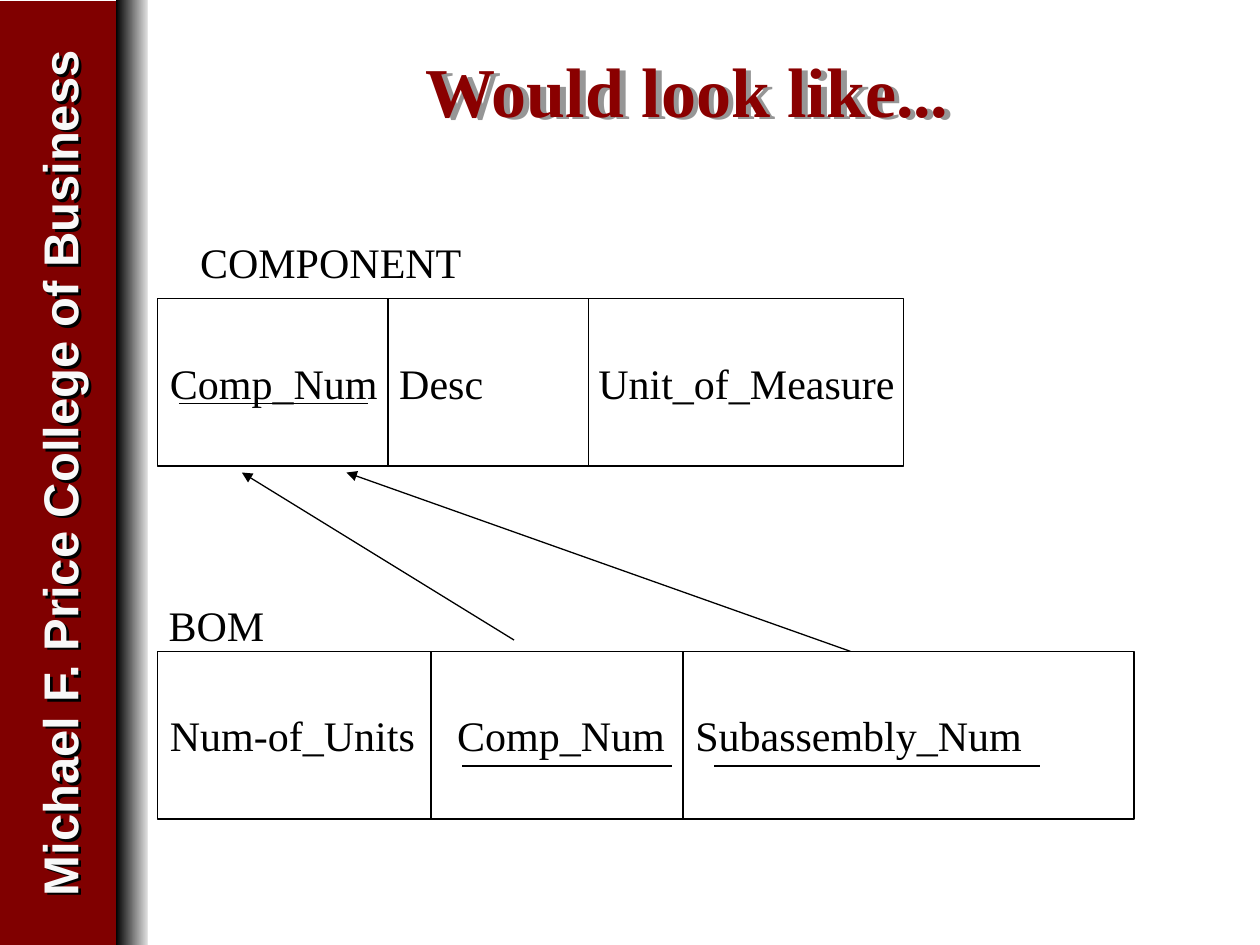
from typing import NamedTuple

from lxml import etree
from pptx import Presentation
from pptx.dml.color import RGBColor
from pptx.enum import shapes as sh, text as tx
from pptx.oxml import parse_xml
from pptx.oxml.ns import nsdecls, qn
from pptx.util import Inches, Pt

SERIF = "Times New Roman"


class Line(NamedTuple):
    x1: float
    y1: float
    x2: float
    y2: float
    arrow: bool = False


class Table(NamedTuple):
    name: str
    name_x: float
    name_y: float
    top: float
    width: float
    fields: tuple[str, ...]
    stops: tuple[float, ...]
    rules: tuple[float, ...]


LEFT, HIGH = 1.25, 1.33
TABLES = [
    Table("COMPONENT", 1.49, 1.83, 2.37, 5.92,
          ("Comp_Num", "Desc", "Unit_of_Measure"), (1.82, 3.4), (3.08, 4.67)),
    Table("BOM", 1.24, 4.71, 5.17, 7.75,
          ("Num-of_Units", "Comp_Num", "Subassembly_Num"), (2.28, 4.17), (3.42, 5.42)),
]
KEYS = [
    Line(1.42, 3.2, 2.92, 3.2),
    Line(3.67, 6.08, 5.33, 6.08),
    Line(5.67, 6.08, 8.25, 6.08),
]
ARROWS = [
    Line(4.08, 5.08, 1.92, 3.75, True),
    Line(6.75, 5.17, 2.75, 3.75, True),
]

prs = Presentation()
prs.slide_width, prs.slide_height = Inches(10), Inches(7.5)
slide = prs.slides.add_slide(prs.slide_layouts[6])


def color(code: str) -> RGBColor:
    return RGBColor.from_string(code)


def shade(shape, code: str, dist: float, angle: int) -> None:
    shape._element.spPr.append(parse_xml(
        f'<a:effectLst {nsdecls("a")}><a:outerShdw dist="{Inches(dist)}" '
        f'dir="{angle * 60000}" algn="ctr" rotWithShape="0">'
        f'<a:srgbClr val="{code}"/></a:outerShdw></a:effectLst>'))


def write(shape, words: str, *, size=24, font=SERIF, ink="000000", bold=False,
          align=tx.PP_ALIGN.LEFT, anchor=tx.MSO_ANCHOR.TOP, stops=()) -> None:
    frame = shape.text_frame
    frame.word_wrap, frame.vertical_anchor = True, anchor
    par = frame.paragraphs[0]
    par.alignment = align
    if stops:
        tabs = etree.SubElement(par._p.get_or_add_pPr(), qn("a:tabLst"))
        for stop in stops:
            etree.SubElement(tabs, qn("a:tab"), pos=str(Inches(stop)), algn="l")
    run = par.add_run()
    run.text = words
    run.font.size, run.font.name, run.font.bold = Pt(size), font, bold
    run.font.color.rgb = color(ink)


def label(x: float, y: float, w: float, h: float, words: str, **style):
    box = slide.shapes.add_textbox(Inches(x), Inches(y), Inches(w), Inches(h))
    write(box, words, **style)
    return box


def rect(x: float, y: float, w: float, h: float):
    box = slide.shapes.add_shape(sh.MSO_SHAPE.RECTANGLE, Inches(x), Inches(y),
                                 Inches(w), Inches(h))
    box.shadow.inherit = False
    box.line.fill.background()
    return box


def draw(line: Line) -> None:
    link = slide.shapes.add_connector(
        sh.MSO_CONNECTOR.STRAIGHT, Inches(line.x1), Inches(line.y1),
        Inches(line.x2), Inches(line.y2))
    link.line.color.rgb, link.line.width = color("000000"), Pt(0.75)
    if line.arrow:
        etree.SubElement(link.line._get_or_add_ln(), qn("a:tailEnd"), type="triangle")
    etree.SubElement(link._element.spPr, qn("a:effectLst"))


def table(item: Table) -> None:
    label(item.name_x, item.name_y, 2.6, 0.5, item.name)
    box = rect(LEFT, item.top, item.width, HIGH)
    box.fill.background()
    box.line.color.rgb, box.line.width = color("000000"), Pt(0.75)
    box.text_frame.margin_right = 0
    write(box, "\t".join(item.fields), stops=item.stops, anchor=tx.MSO_ANCHOR.MIDDLE)
    for x in item.rules:
        draw(Line(x, item.top, x, item.top + HIGH))


# Side band
fade = rect(0.92, 0, 0.25, 7.5)
fade.fill.gradient()
fade.fill.gradient_angle = 0
for stop, code in zip(fade.fill.gradient_stops, ("000000", "DDDDDD")):
    stop.color.rgb = color(code)
band = rect(0, 0.01, 0.92, 7.49)
band.fill.solid()
band.fill.fore_color.rgb = color("800000")
side = label(-3.28, 3.47, 7.5, 0.57, "Michael F. Price College of Business",
             size=28, font="Arial", ink="F8F8F8", bold=True,
             align=tx.PP_ALIGN.CENTER)
side.rotation = 270
shade(side, "000000", 0.03, 45)

# Title
title = label(1.33, 0.33, 8.25, 1, "Would look like...", size=40, ink="8A0000",
              bold=True, align=tx.PP_ALIGN.CENTER)
shade(title, "969696", 0.05, 20)

# Relations, key underlines and references
for item in TABLES:
    table(item)
for line in KEYS + ARROWS:
    draw(line)

prs.save("out.pptx")
